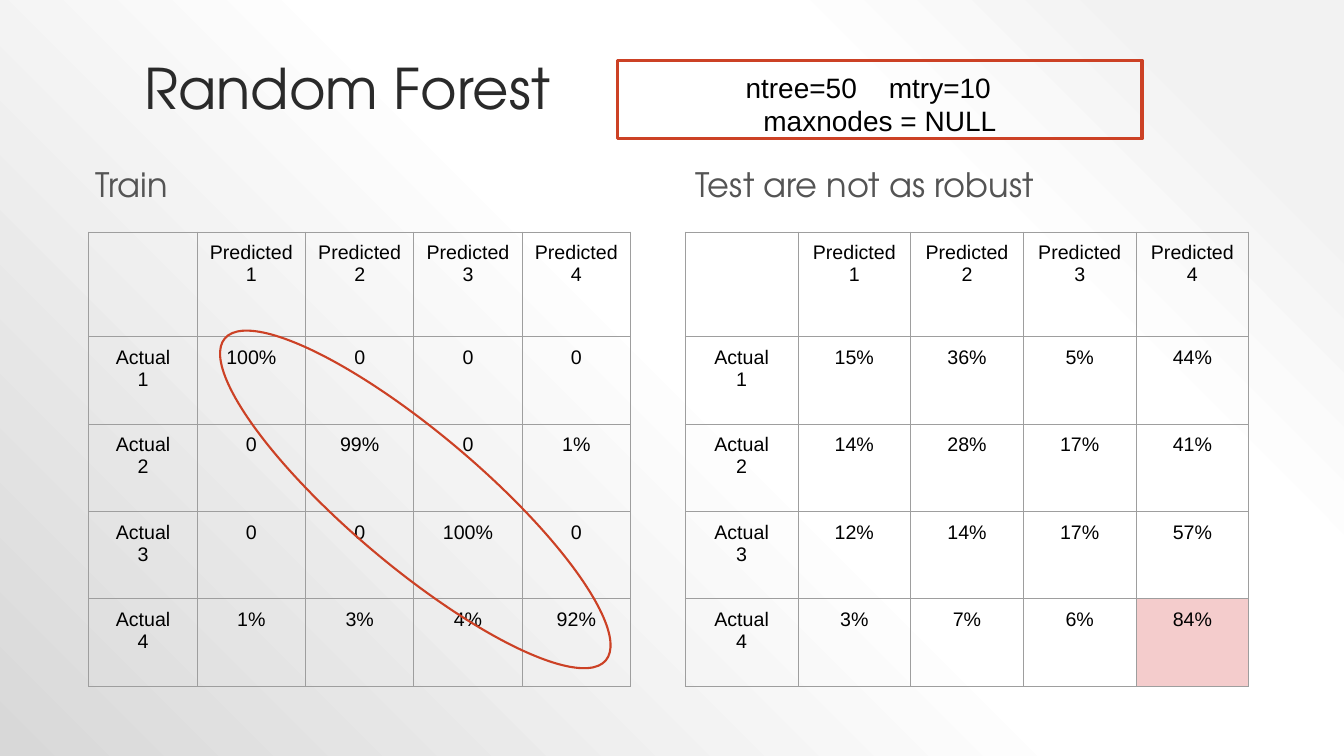
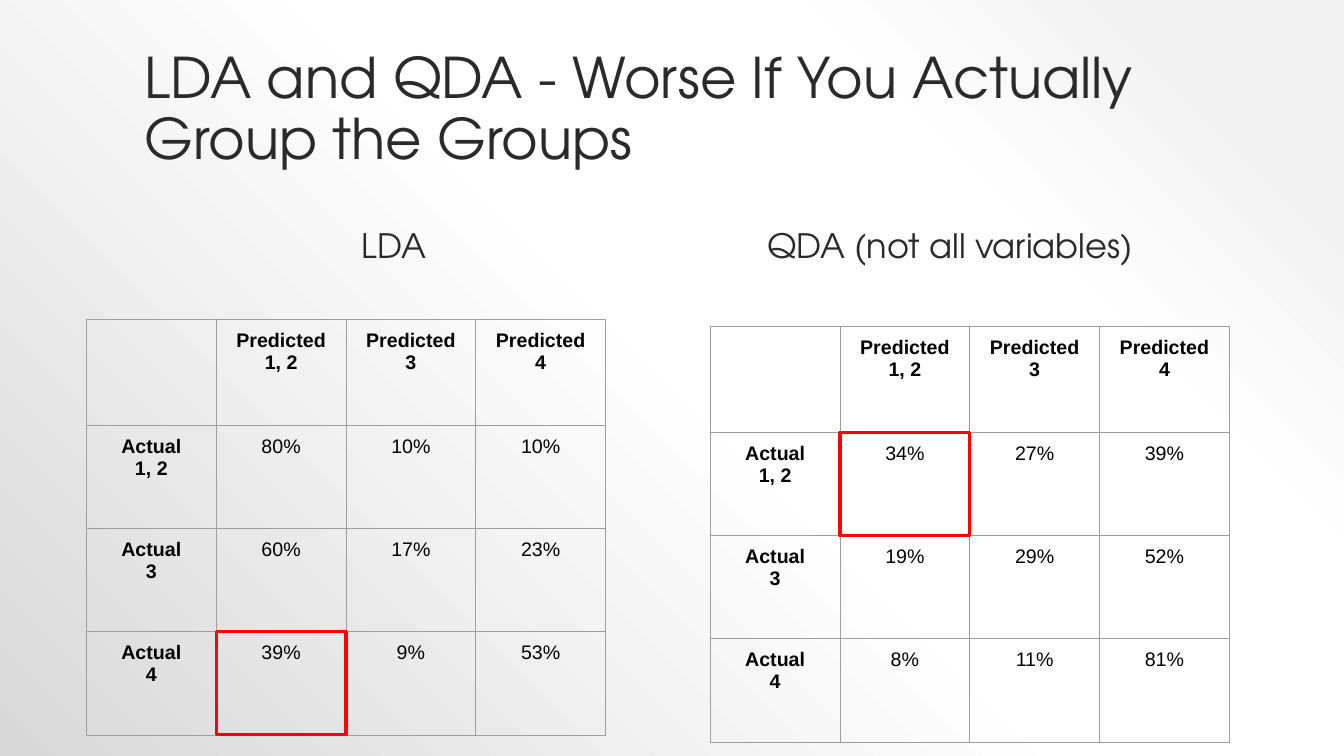
from pptx import Presentation
from pptx.dml.color import RGBColor as RGB
from pptx.enum.shapes import MSO_SHAPE as SHAPE
from pptx.enum.text import MSO_ANCHOR as ANCHOR, MSO_AUTO_SIZE as AUTO, PP_ALIGN as ALIGN
from pptx.oxml import parse_xml
from pptx.oxml.ns import nsdecls, qn
from pptx.util import Cm, Pt

C = {
    "title": "2A2A2A", "label": "545454", "text": "000000", "grid": "9E9E9E",
    "rust": "CC4125", "red": "FF0000", "pink": "F4CCCC",
    "mist": "F2F2F2", "white": "FFFFFF", "silver": "D8D8D8",
}
HEAD_FONT, BODY_FONT = "TeX Gyre Adventor", "Arial"
INSET = Cm(0.25)


def write(tf, lines, size, font, color, align=ALIGN.LEFT, spacing=None, bold=False):
    for i, line in enumerate(lines):
        p = tf.paragraphs[0] if i == 0 else tf.add_paragraph()
        p.alignment = align
        p.line_spacing = spacing
        r = p.add_run()
        r.text = line
        r.font.size, r.font.name, r.font.bold = Pt(size), font, bold
        r.font.color.rgb = RGB.from_string(C[color])


def add_matrix(s, x, y, col_w, head_h, row_h, groups, values, bold=False, filled=None):
    n = len(groups) + 1
    frame = s.shapes.add_table(n, n, Cm(x), Cm(y), Cm(col_w * n), Cm(head_h + row_h * (n - 1)))
    table = frame.table
    table.first_row = table.horz_banding = False
    grid = [[""] + [f"Predicted\n{g}" for g in groups]]
    grid += [[f"Actual\n{g}"] + row.split() for g, row in zip(groups, values)]
    for i, row in enumerate(grid):
        table.columns[i].width = Cm(col_w)
        table.rows[i].height = Cm(row_h if i else head_h)
        for j, text in enumerate(row):
            cell = table.cell(i, j)
            cell.margin_left = cell.margin_right = INSET
            cell.margin_top = cell.margin_bottom = INSET
            if (i, j) == filled:
                cell.fill.solid()
                cell.fill.fore_color.rgb = RGB.from_string(C["pink"])
            else:
                cell.fill.background()
            tc_pr = cell._tc.get_or_add_tcPr()
            for k, side in enumerate("LRTB"):
                tc_pr.insert(k, parse_xml(
                    f'<a:ln{side} {nsdecls("a")} w="9525"><a:solidFill>'
                    f'<a:srgbClr val="{C["grid"]}"/></a:solidFill></a:ln{side}>'))
            if text:
                write(cell.text_frame, text.split("\n"), 14, BODY_FONT, "text",
                      ALIGN.CENTER, bold=bold and 0 in (i, j))


prs = Presentation()
prs.slide_width, prs.slide_height = Cm(33.87), Cm(19.05)

stops = [(0, "mist"), (10, "mist"), (28, "white"), (48, "white"), (100, "silver")]
gs = "".join(f'<a:gs pos="{pos * 1000}"><a:srgbClr val="{C[name]}"/></a:gs>' for pos, name in stops)
bg = prs.slide_master.element.find(".//" + qn("p:bg"))
bg.getparent().replace(bg, parse_xml(
    f'<p:bg {nsdecls("p", "a")}><p:bgPr><a:gradFill rotWithShape="1"><a:gsLst>{gs}</a:gsLst>'
    '<a:path path="circle"><a:fillToRect l="100000" b="100000"/></a:path>'
    '</a:gradFill><a:effectLst/></p:bgPr></p:bg>'))

slides = []
for title, y, h in [
    ("Random Forest", 1.2, 1.98),
    ("LDA and QDA - Worse If You Actually Group the Groups", 0.76, 3.68),
]:
    s = prs.slides.add_slide(prs.slide_layouts[5])
    sp = s.shapes.title
    sp.left, sp.top, sp.width, sp.height = Cm(3.39), Cm(y), Cm(27.1), Cm(h)
    tf = sp.text_frame
    tf.word_wrap, tf.auto_size, tf.vertical_anchor = True, AUTO.NONE, ANCHOR.BOTTOM
    write(tf, [title], 40, HEAD_FONT, "title", spacing=0.9)
    slides.append(s)
forest, discriminant = slides

four = ["1", "2", "3", "4"]
add_matrix(forest, 2.24, 5.85, 2.73, 2.64, 2.2, four,
           ["100% 0 0 0", "0 99% 0 1%", "0 0 100% 0", "1% 3% 4% 92%"])
add_matrix(forest, 17.27, 5.85, 2.84, 2.64, 2.2, four,
           ["15% 36% 5% 44%", "14% 28% 17% 41%", "12% 14% 17% 57%", "3% 7% 6% 84%"],
           filled=(4, 4))

three = ["1, 2", "3", "4"]
col_w, head_h, row_h = 3.27, 2.67, 2.6
highlights = []
for x, y, values, row in [
    (2.18, 8.05, ["80% 10% 10%", "60% 17% 23%", "39% 9% 53%"], 3),
    (17.9, 8.23, ["34% 27% 39%", "19% 29% 52%", "8% 11% 81%"], 1),
]:
    add_matrix(discriminant, x, y, col_w, head_h, row_h, three, values, bold=True)
    top = y + head_h + row_h * (row - 1)
    highlights.append((discriminant, SHAPE.FLOWCHART_PROCESS, x + col_w, top,
                       col_w, row_h, 0, "red", 2.25))

for s, text, x, y, w, h, color, align, anchor in [
    (forest, "Train", 2.16, 3.99, 4.06, 1.4, "label", ALIGN.LEFT, ANCHOR.TOP),
    (forest, "Test are not as robust", 17.27, 3.99, 11.53, 1.4, "label", ALIGN.LEFT, ANCHOR.TOP),
    (discriminant, "LDA", 3.39, 5.08, 13.08, 2.34, "title", ALIGN.CENTER, ANCHOR.MIDDLE),
    (discriminant, "QDA (not all variables)", 17.4, 5.08, 13.08, 2.34, "title",
     ALIGN.CENTER, ANCHOR.MIDDLE),
]:
    tf = s.shapes.add_textbox(Cm(x), Cm(y), Cm(w), Cm(h)).text_frame
    tf.word_wrap, tf.vertical_anchor = True, anchor
    tf.margin_left = tf.margin_right = tf.margin_top = tf.margin_bottom = INSET
    write(tf, [text], 24, HEAD_FONT, color, align, 0.9)

for s, kind, x, y, w, h, angle, color, weight in highlights + [
    (forest, SHAPE.OVAL, 8.79, 6.3, 3.35, 12.57, 130.2, "rust", 1.5),
    (forest, SHAPE.RECTANGLE, 15.57, 1.52, 13.21, 1.98, 0, "rust", 2.25),
]:
    sp = s.shapes.add_shape(kind, Cm(x), Cm(y), Cm(w), Cm(h))
    sp.rotation = angle
    sp.shadow.inherit = False
    sp.fill.background()
    sp.line.color.rgb = RGB.from_string(C[color])
    sp.line.width = Pt(weight)

tf = sp.text_frame
tf.word_wrap, tf.vertical_anchor = True, ANCHOR.TOP
tf.margin_left = tf.margin_right = tf.margin_top = tf.margin_bottom = INSET
write(tf, ["\tntree=50\tmtry=10", "maxnodes = NULL"], 20, BODY_FONT, "text", ALIGN.CENTER)
p = tf.paragraphs[0]
p.alignment = ALIGN.LEFT
tabs = "".join(f'<a:tab pos="{Cm(pos)}" algn="l"/>' for pos in (2.97, 6.58))
p._p.get_or_add_pPr().append(parse_xml(f'<a:tabLst {nsdecls("a")}>{tabs}</a:tabLst>'))

prs.save("out.pptx")
